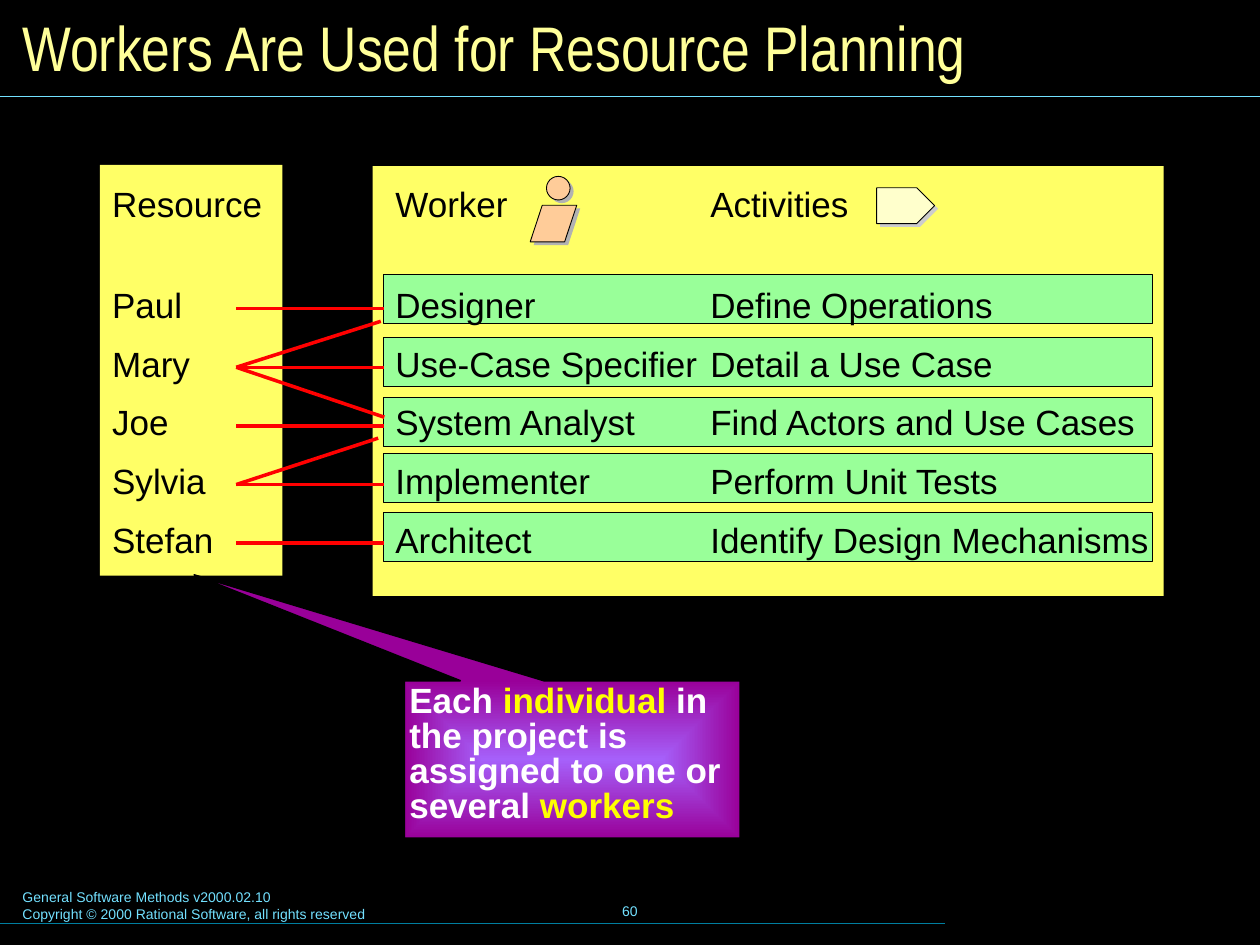
from lxml.etree import SubElement
from pptx import Presentation
from pptx.dml.color import RGBColor
from pptx.enum.shapes import MSO_CONNECTOR, MSO_SHAPE
from pptx.enum.text import MSO_ANCHOR, PP_ALIGN
from pptx.oxml.ns import qn
from pptx.util import Pt

CYAN = "73E1FF"
YELLOW = "FFFF66"
PITCH = 33.6


def rgb(value):
    """Turn a hex string into a colour."""
    return RGBColor.from_string(value)


def add_text(s, x, y, w, h, paras, size=20, color="000000", font="Arial", bold=False,
             align=PP_ALIGN.LEFT, anchor=MSO_ANCHOR.TOP, inset=(7.2, 3.6),
             spacing=None, gaps=None):
    """Add a text box; each paragraph is a string or a list of (text, colour) runs."""
    tf = s.shapes.add_textbox(Pt(x), Pt(y), Pt(w), Pt(h)).text_frame
    tf.word_wrap = True
    tf.vertical_anchor = anchor
    tf.margin_left = tf.margin_right = Pt(inset[0])
    tf.margin_top = tf.margin_bottom = Pt(inset[1])
    for i, para in enumerate(paras):
        p = tf.paragraphs[0] if i == 0 else tf.add_paragraph()
        p.alignment = align
        if spacing:
            p.line_spacing = Pt(spacing[min(i, len(spacing) - 1)])
        if gaps and i in gaps:
            p.space_before = Pt(gaps[i])
        for words, tint in [(para, color)] if isinstance(para, str) else para:
            r = p.add_run()
            r.text = words
            r.font.name, r.font.size, r.font.bold = font, Pt(size), bold
            r.font.color.rgb = rgb(tint)


def add_shape(s, kind, x, y, w, h, fill, line=None, width=0.5, adj=()):
    """Add a preset shape without shadow."""
    sp = s.shapes.add_shape(kind, Pt(x), Pt(y), Pt(w), Pt(h))
    sp.shadow.inherit = False
    sp.fill.solid()
    sp.fill.fore_color.rgb = rgb(fill)
    if line:
        sp.line.color.rgb = rgb(line)
        sp.line.width = Pt(width)
    else:
        sp.line.fill.background()
    for i, value in enumerate(adj):
        sp.adjustments[i] = value
    return sp


def add_line(s, x1, y1, x2, y2, color, width=0.75):
    """Add a straight line without shadow."""
    c = s.shapes.add_connector(MSO_CONNECTOR.STRAIGHT, Pt(x1), Pt(y1), Pt(x2), Pt(y2))
    c.line.color.rgb = rgb(color)
    c.line.width = Pt(width)
    SubElement(c._element.spPr, qn("a:effectLst"))


def add_raised(s, kind, x, y, w, h, fill, shade, adj=()):
    """Add an outlined shape on top of its offset grey shade."""
    add_shape(s, kind, x + 2, y + 1.8, w, h, shade, adj=adj)
    add_shape(s, kind, x, y, w, h, fill, "000000", adj=adj)


def add_column(s, x, y, w, header, entries):
    """Add a heading with its list of entries."""
    add_text(s, x, y, w, 223.2, [header, *entries], spacing=(24, PITCH), gaps={1: 24})


def title(s, x, y, w, h):
    """Place the slide title and the rule below it."""
    add_text(s, x + 5.76, y + 5.76, w - 11.52, 41.76,
             ["Workers Are Used for Resource Planning"], size=36, color="FFFF99",
             font="Arial Narrow", anchor=MSO_ANCHOR.MIDDLE)
    add_line(s, x, y + h, x + w, y + h, CYAN)


def resources(s, x, y, w, h):
    """Place the panel of people."""
    add_shape(s, MSO_SHAPE.RECTANGLE, x, y, w, h, YELLOW)
    add_column(s, x, y + 6.5, w + 2, "Resource",
               ["Paul", "Mary", "Joe", "Sylvia", "Stefan"])


def workers(s, x, y, w, h):
    """Place the panel of workers and activities with icons and row bands."""
    add_shape(s, MSO_SHAPE.RECTANGLE, x, y, w, h, YELLOW)
    add_raised(s, MSO_SHAPE.OVAL, x + 99.3, y + 5.8, 13.5, 13.5, "FFCC99", "B2B2B2")
    add_raised(s, MSO_SHAPE.PARALLELOGRAM, x + 90, y + 22.3, 26.6, 20.9,
               "FFCC99", "B2B2B2", adj=(0.33,))
    add_raised(s, MSO_SHAPE.PENTAGON, x + 288, y + 12.3, 33.1, 20.5,
               "FFFFCC", "CCCCCC", adj=(0.5,))
    for top in (62, 98, 132, 164, 198):
        add_shape(s, MSO_SHAPE.RECTANGLE, x + 6, y + top, w - 12.6, 28,
                  "99FF99", "000000")
    add_column(s, x + 5.8, y + 5.8, 198, "Worker",
               ["Designer", "Use-Case Specifier", "System Analyst", "Implementer",
                "Architect"])
    add_column(s, x + 185.8, y + 5.8, 278, "Activities",
               ["Define Operations", "Detail a Use Case", "Find Actors and Use Cases",
                "Perform Unit Tests", "Identify Design Mechanisms"])


def assignments(s, x, y, w, h):
    """Place the red lines that join people to workers."""
    levels = [h * i / 4 for i in range(5)]
    links = [(level, level, w) for level in levels]
    links += [(levels[1], 62, w), (levels[1], 7.2, w - 2), (levels[3], 74, w - 3.5)]
    for start, end, reach in links:
        add_line(s, x, y + start, x + reach, y + end, "FF0000", 2)


def callout(s, x, y, w, h):
    """Place the gradient callout and its message."""
    sp = add_shape(s, MSO_SHAPE.RECTANGULAR_CALLOUT, x, y, w, h, "990099", "000000", 1,
                   adj=(-1.125, -1.172))
    sp.fill.gradient()
    for stop, color, pos in zip(sp.fill.gradient_stops, ("A660FA", "990099"), (0, 1)):
        stop.color.rgb = rgb(color)
        stop.position = pos
    grad = sp._element.spPr.find(qn("a:gradFill"))
    grad.remove(grad.find(qn("a:lin")))
    shade = SubElement(grad, qn("a:path"), {"path": "rect"})
    SubElement(shade, qn("a:fillToRect"), dict.fromkeys("ltrb", "50000"))
    white, yellow = "FFFFFF", "FFFF00"
    add_text(s, x, y, w + 15, h - 4,
             [[("Each ", white), ("individual", yellow),
               (" in the project is assigned to one or several ", white),
               ("workers", yellow)]],
             bold=True, inset=(2.88, 2.88), spacing=(20,))


def footer(s, x, y, w, h):
    """Place the copyright lines, the page number and the rule below."""
    add_text(s, x + 5.76, y, 367, 26.6,
             ["General Software Methods v2000.02.10",
              "Copyright © 2000 Rational Software, all rights reserved"],
             size=8, color=CYAN, spacing=(9.6,))
    add_text(s, x + 246, y - 1.4, 228, 36, ["60"], size=8, color=CYAN,
             align=PP_ALIGN.CENTER, anchor=MSO_ANCHOR.MIDDLE)
    add_line(s, x, y + h, x + w, y + h, "007E9F")


def main():
    """Build and save the slide."""
    prs = Presentation()
    prs.slide_width, prs.slide_height = Pt(720), Pt(540)
    s = prs.slides.add_slide(prs.slide_layouts[6])
    s.background.fill.solid()
    s.background.fill.fore_color.rgb = rgb("000000")
    footer(s, 0, 504, 540, 23.8)
    title(s, 0, 0, 720, 55)
    resources(s, 57, 94.3, 104.4, 234.7)
    workers(s, 213, 95, 452, 245.5)
    assignments(s, 135, 176.4, 84.6, 134)
    callout(s, 231, 389, 192, 90)
    prs.save("out.pptx")


if __name__ == "__main__":
    main()
